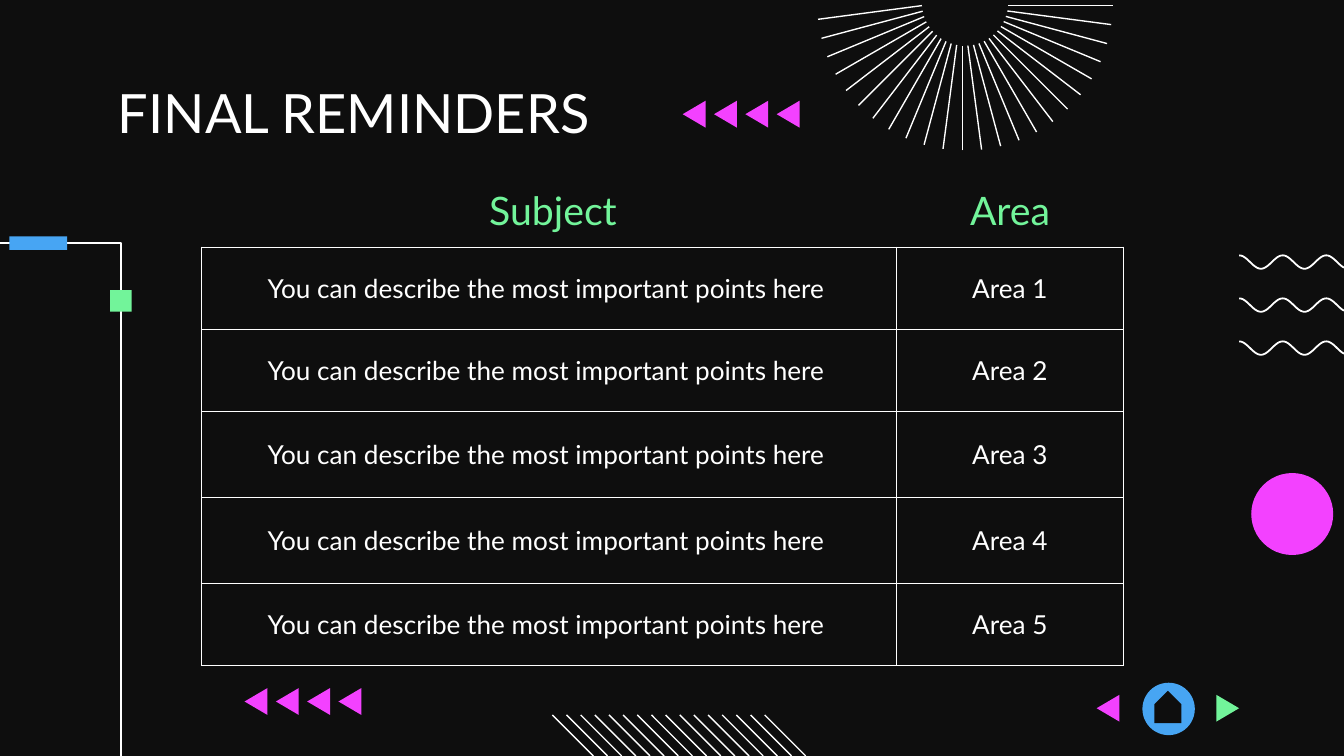
from dataclasses import dataclass
from math import cos, pi, radians, sin

from lxml.etree import SubElement
from pptx import Presentation
from pptx.dml.color import RGBColor
from pptx.enum.shapes import MSO_CONNECTOR as LINE, MSO_SHAPE as SHAPE
from pptx.enum.text import MSO_ANCHOR as ANCHOR, PP_ALIGN as ALIGN
from pptx.oxml.ns import qn
from pptx.util import Inches, Pt

# Content
TITLE = "FINAL REMINDERS"
HEADERS = ("Subject", "Area")
REMINDER = "You can describe the most important points here"
ROWS = [(REMINDER, f"Area {n}") for n in range(1, 6)]


@dataclass(frozen=True)
class Theme:
    font: str = "Lato"
    dark: str = "0E0E0E"
    white: str = "FFFFFF"
    green: str = "72F49A"
    blue: str = "47A5F3"
    pink: str = "F341FF"
    title: float = 29
    header: float = 21
    body: float = 14
    thin: float = 0.75
    wave: float = 0.95


T = Theme()
W, H = 10, 5.625

# Grid of the table
LEFT, TOP = 1.5, 1.84
COL_W = (5.17, 1.69)
ROW_H = (0.61, 0.61, 0.64, 0.64, 0.61)
CELL_INSETS = ((0.14, 0.18), (0.1, 0.1))
HEADER_BOXES = ((2.6, 3.03), (LEFT + COL_W[0], COL_W[1]))

ARROW_W, ARROW_H, ARROW_STEP = 0.17, 0.2, 0.233

prs = Presentation()
prs.slide_width, prs.slide_height = Inches(W), Inches(H)
s = prs.slides.add_slide(prs.slide_layouts[6])


def rgb(color):
    return RGBColor.from_string(color)


s.background.fill.solid()
s.background.fill.fore_color.rgb = rgb(T.dark)


def paint(sp, color):
    sp.shadow.inherit = False
    sp.fill.solid()
    sp.fill.fore_color.rgb = rgb(color)
    sp.line.fill.background()


def shape(kind, x, y, w, h, color):
    sp = s.shapes.add_shape(kind, Inches(x), Inches(y), Inches(w), Inches(h))
    paint(sp, color)
    return sp


def outline(points, closed):
    pts = [(Inches(x), Inches(y)) for x, y in points]
    builder = s.shapes.build_freeform(*pts[0])
    builder.add_line_segments(pts[1:], close=closed)
    return builder.convert_to_shape()


def stroke(points, width):
    sp = outline(points, False)
    sp.shadow.inherit = False
    sp.fill.background()
    sp.line.color.rgb = rgb(T.white)
    sp.line.width = Pt(width)


def line(x1, y1, x2, y2):
    c = s.shapes.add_connector(LINE.STRAIGHT, *map(Inches, (x1, y1, x2, y2)))
    c.line.color.rgb = rgb(T.white)
    c.line.width = Pt(T.thin)
    SubElement(c._element.spPr, qn("a:effectLst"))


def arrow(x, y, color, right=False):
    base, tip = (x, x + ARROW_W) if right else (x + ARROW_W, x)
    paint(outline([(base, y), (tip, y + ARROW_H / 2), (base, y + ARROW_H)], True), color)


def write(tf, text, size, color, align):
    tf.text = text
    p = tf.paragraphs[0]
    p.alignment = align
    f = p.runs[0].font
    f.name, f.size, f.color.rgb = T.font, Pt(size), rgb(color)


def label(box, text, size, color, align, anchor, inset_top):
    tf = s.shapes.add_textbox(*map(Inches, box)).text_frame
    tf.word_wrap = True
    tf.vertical_anchor = anchor
    tf.margin_left = tf.margin_right = tf.margin_bottom = Inches(0.1)
    tf.margin_top = Inches(inset_top)
    write(tf, text, size, color, align)


def border(cell):
    tc_pr = cell._tc.get_or_add_tcPr()
    for side in ("lnL", "lnR", "lnT", "lnB"):
        ln = SubElement(tc_pr, qn(f"a:{side}"), w=str(Pt(T.thin)))
        fill = SubElement(ln, qn("a:solidFill"))
        SubElement(fill, qn("a:srgbClr"), val=T.white)


# Corner frame on the left, with its two markers
stroke([(0.9, H), (0.9, 1.81), (0, 1.81)], T.thin)
shape(SHAPE.RECTANGLE, 0.82, 2.16, 0.16, 0.16, T.green)
shape(SHAPE.RECTANGLE, 0.07, 1.76, 0.43, 0.1, T.blue)

# Circle on the right
shape(SHAPE.OVAL, 9.31, 3.52, 0.61, 0.61, T.pink)

# Rows of arrows
for x0, y0 in ((1.82, 5.12), (5.08, 0.75)):
    for i in range(4):
        arrow(x0 + i * ARROW_STEP, y0, T.pink)

# Diagonal hatching, down to the bottom edge
HATCH_TOP = 5.32
for i in range(16):
    x = 4.11 + i * 1.58 / 15
    line(x, HATCH_TOP, x + H - HATCH_TOP, H)

# Waves, up to the right edge
WAVE_LEFT, HALF_WAVE, WAVE_H, STEPS = 9.22, 0.162, 0.1, 60
for y in (1.9, 2.22, 2.54):
    xs = [(W - WAVE_LEFT) * i / STEPS for i in range(STEPS + 1)]
    stroke([(WAVE_LEFT + x, y + WAVE_H / 2 * (1 - cos(pi * x / HALF_WAVE)))
            for x in xs], T.wave)

# Half sunburst: each ray runs slightly beside the centre
SUN_X, SUN_Y, INNER, OUTER, ASIDE = 7.18, 0.02, 0.32, 1.1, 0.02
for i in range(24):
    a = radians(7.5 * i)
    x, y = SUN_X - ASIDE * sin(a), SUN_Y + ASIDE * cos(a)
    line(x + OUTER * cos(a), y + OUTER * sin(a),
         x + INNER * cos(a), y + INNER * sin(a))

# Table
table = s.shapes.add_table(len(ROWS), len(COL_W), Inches(LEFT), Inches(TOP),
                           Inches(sum(COL_W)), Inches(sum(ROW_H))).table
table.first_row = table.horz_banding = False
for col, w in zip(table.columns, COL_W):
    col.width = Inches(w)
for row, h, texts in zip(table.rows, ROW_H, ROWS):
    row.height = Inches(h)
    for cell, text, (left, right) in zip(row.cells, texts, CELL_INSETS):
        border(cell)
        cell.fill.background()
        cell.vertical_anchor = ANCHOR.MIDDLE
        cell.margin_left, cell.margin_right = Inches(left), Inches(right)
        cell.margin_top = cell.margin_bottom = Inches(0.1)
        write(cell.text_frame, text, T.body, T.white, ALIGN.CENTER)

# Headers and title
for text, (x, w) in zip(HEADERS, HEADER_BOXES):
    label((x, 1.38, w, 0.36), text, T.header, T.green, ALIGN.CENTER, ANCHOR.MIDDLE, 0.1)
label((0.78, 0.59, 8.44, 0.46), TITLE, T.title, T.white, ALIGN.LEFT, ANCHOR.TOP, 0)

# Navigation: back, home, forward
arrow(8.16, 5.17, T.pink)
shape(SHAPE.OVAL, 8.5, 5.08, 0.39, 0.39, T.blue)
home = shape(SHAPE.PENTAGON, 8.57, 5.16, 0.24, 0.2, T.dark)
home.rotation = 270
arrow(9.05, 5.17, T.green, right=True)

prs.save("out.pptx")
